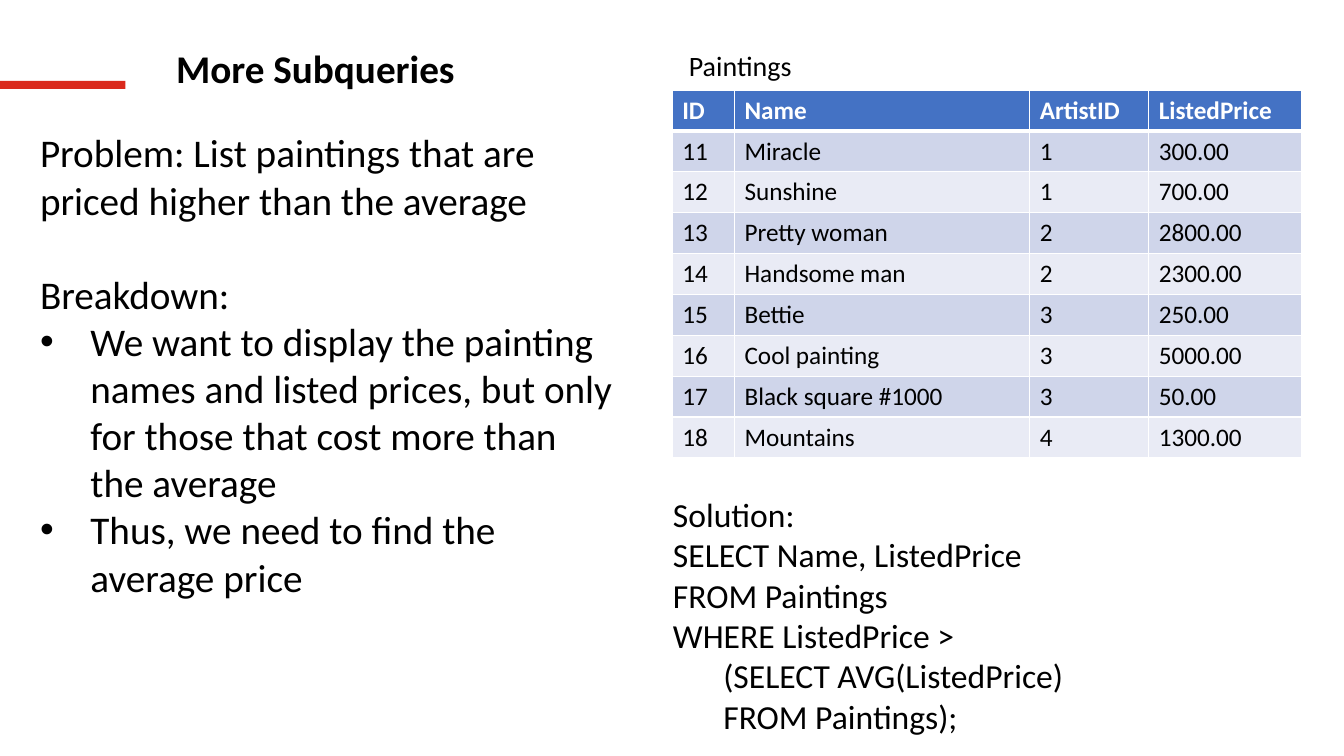
"""Build the slide on subqueries over the Paintings table."""
import dataclasses

import lxml.etree
import pptx
import pptx.dml.color
import pptx.enum.shapes
import pptx.enum.text
import pptx.oxml.ns
import pptx.util

Cm = pptx.util.Cm
Pt = pptx.util.Pt
qn = pptx.oxml.ns.qn


@dataclasses.dataclass(frozen=True)
class Theme:
    font: str = "Calibri"
    ink: str = "000000"
    paper: str = "FFFFFF"
    red: str = "DA291C"
    head: str = "4472C4"
    bands: tuple = ("CFD5EA", "E9EBF5")
    large: int = 28
    code: int = 24
    label: int = 20
    cell: int = 18


THEME = Theme()
TITLE = ["More Subqueries"]
LABEL = ["Paintings"]
TASK = ["Problem: List paintings that are priced higher than the average", "Breakdown:"]
STEPS = [
    "We want to display the painting names and listed prices, "
    "but only for those that cost more than the average",
    "Thus, we need to find the average price",
]
QUERY = [
    "Solution:",
    "SELECT Name, ListedPrice",
    "FROM Paintings",
    "WHERE ListedPrice >",
    "\t(SELECT AVG(ListedPrice)",
    "\tFROM Paintings);",
]
ROWS = [
    ("ID", "Name", "ArtistID", "ListedPrice"),
    ("11", "Miracle", "1", "300.00"),
    ("12", "Sunshine", "1", "700.00"),
    ("13", "Pretty woman", "2", "2800.00"),
    ("14", "Handsome man", "2", "2300.00"),
    ("15", "Bettie", "3", "250.00"),
    ("16", "Cool painting", "3", "5000.00"),
    ("17", "Black square #1000", "3", "50.00"),
    ("18", "Mountains", "4", "1300.00"),
]
WIDTHS = (1.57, 7.44, 3, 3.84)
HEIGHT = 1.03
INDENT = 0.3
HANG = 1.27


def color(code):
    return pptx.dml.color.RGBColor.from_string(code)


def write(para, text, size, ink=THEME.ink, bold=False):
    run = para.add_run()
    run.text = text
    run.font.name = THEME.font
    run.font.size = Pt(size)
    run.font.bold = bold
    run.font.color.rgb = color(ink)


def add_text(slide, place, lines, size, indent=INDENT, steps=(), bold=False, gap=0):
    box = slide.shapes.add_textbox(*map(Cm, place))
    frame = box.text_frame
    frame.word_wrap = True
    frame.auto_size = pptx.enum.text.MSO_AUTO_SIZE.SHAPE_TO_FIT_TEXT
    for i, text in enumerate([*lines, *steps]):
        para = frame.add_paragraph() if i else frame.paragraphs[0]
        props = para._p.get_or_add_pPr()
        listed = i >= len(lines)
        props.set("marL", str(Cm(indent + HANG * listed)))
        props.set("indent", str(-Cm(HANG * listed)))
        if listed:
            lxml.etree.SubElement(props, qn("a:buFont"), typeface="Arial")
            lxml.etree.SubElement(props, qn("a:buChar"), char="•")
        if gap and i == 1:
            para.space_before = Pt(gap)
        write(para, text, size, bold=bold)


def add_edge(cell, side, width):
    props = cell._tc.get_or_add_tcPr()
    line = lxml.etree.SubElement(props, qn("a:ln" + side), w=str(Pt(width)))
    fill = lxml.etree.SubElement(line, qn("a:solidFill"))
    lxml.etree.SubElement(fill, qn("a:srgbClr"), val=THEME.paper)


def add_grid(slide, left, top):
    size = (sum(WIDTHS), HEIGHT * len(ROWS))
    table = slide.shapes.add_table(
        len(ROWS), len(WIDTHS), *map(Cm, (left, top, *size))).table
    for col, width in zip(table.columns, WIDTHS):
        col.width = Cm(width)
    for r, row in enumerate(ROWS):
        table.rows[r].height = Cm(HEIGHT)
        head = r == 0
        for c, text in enumerate(row):
            cell = table.cell(r, c)
            for side in "LRTB":
                thick = (r, side) in ((0, "B"), (1, "T"))
                add_edge(cell, side, 3 if thick else 1)
            cell.fill.solid()
            cell.fill.fore_color.rgb = color(
                THEME.head if head else THEME.bands[(r - 1) % 2])
            write(cell.text_frame.paragraphs[0], text, THEME.cell,
                  THEME.paper if head else THEME.ink, head)


def main():
    deck = pptx.Presentation()
    deck.slide_width, deck.slide_height = Cm(33.87), Cm(19.05)
    slide = deck.slides.add_slide(deck.slide_layouts[6])
    add_text(slide, (4.19, 0.99, 29.41, 1.45), TITLE, THEME.large, indent=0, bold=True)
    bar = slide.shapes.add_shape(
        pptx.enum.shapes.MSO_SHAPE.RECTANGLE, *map(Cm, (0, 2.04, 3.16, 0.2)))
    bar.shadow.inherit = False
    bar.fill.solid()
    bar.fill.fore_color.rgb = color(THEME.red)
    bar.line.fill.background()
    add_grid(slide, 16.94, 2.27)
    add_text(slide, (0.46, 3.12, 15.37, 12.22), TASK, THEME.large, steps=STEPS, gap=34)
    add_text(slide, (16.41, 12.32, 15.37, 6.4), QUERY, THEME.code)
    add_text(slide, (16.81, 1.09, 4.27, 1.12), LABEL, THEME.label)
    deck.save("out.pptx")


if __name__ == "__main__":
    main()
